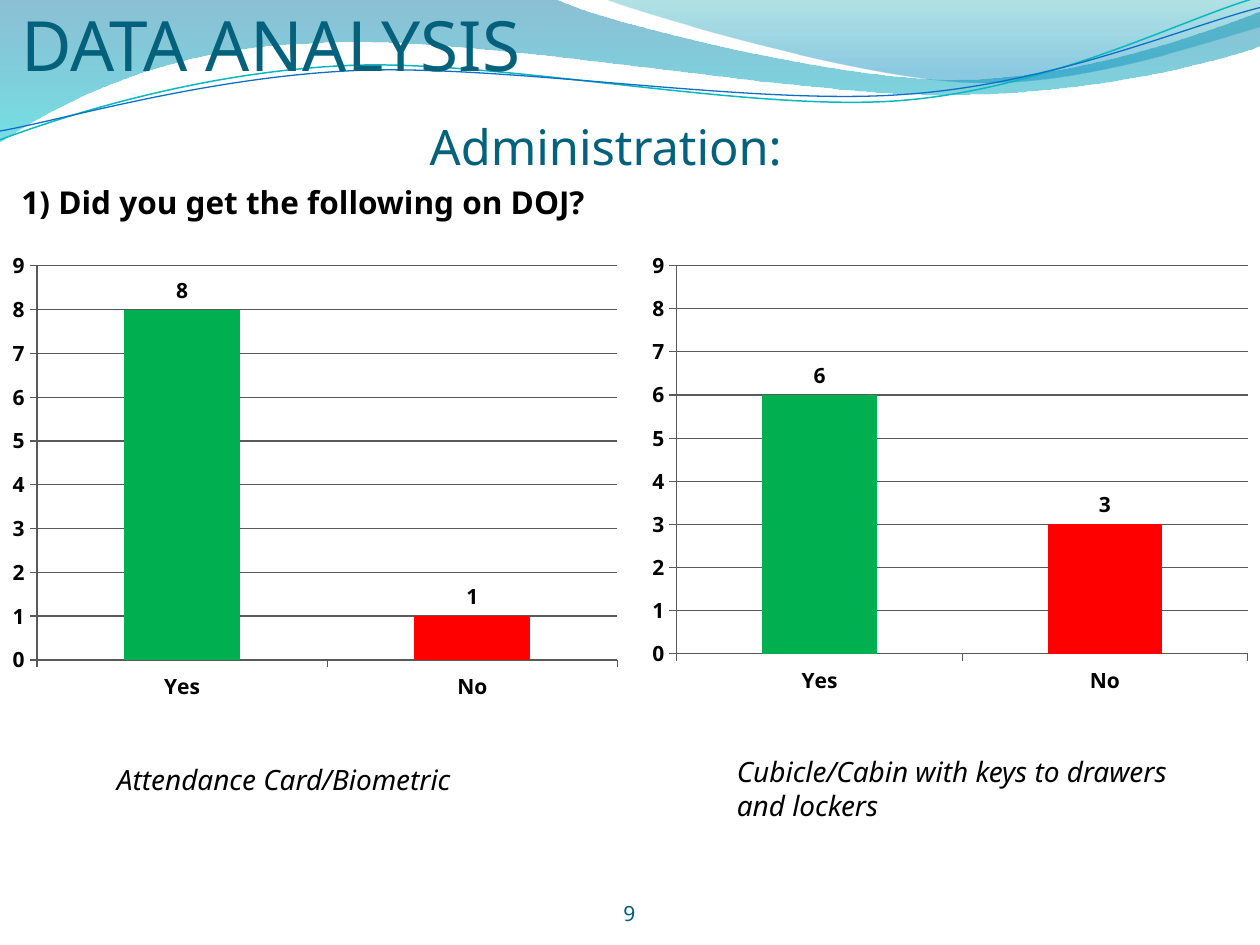
from lxml import etree
from pptx import Presentation
from pptx import util as u
from pptx.chart.data import CategoryChartData
from pptx.dml.color import RGBColor
from pptx.enum import chart as ch, text
from pptx.oxml.ns import qn

FONT = "Noto Sans"
COLORS = {
    "title": "04617B", "number": "045D75", "ink": "000000", "grid": "595959",
    "yes": "00B050", "no": "FF0000", "series": "0F6FC6",
    "band_top": "0074A1", "band_bottom": "00C6CF",
    "crest_top": "00A1A9", "crest_bottom": "008BBF",
    "teal": "0AB8BF", "blue": "0F6FC6",
}
BAND = [
    [(0, 0)],
    [(4.4, -0.01)],
    [(4.76, 0.17), (6.64, 0.63), (7.58, 0.63)],
    [(8.53, 0.63), (9.58, 0.26), (10, 0.09)],
    [(10.01, 0.36)],
    [(9.83, 0.44), (8.7, 0.76), (7.46, 0.75)],
    [(6.22, 0.75), (3.82, 0.28), (2.57, 0.34)],
    [(1.29, 0.36), (0.46, 0.83), (-0.01, 1.13)],
]
CREST = [
    [(4.79, -0.01)],
    [(5.09, 0.11), (6.82, 0.62), (7.69, 0.65)],
    [(8.56, 0.69), (9.61, 0.32), (10, 0.21)],
    [(10, 0)],
]
TEAL_WAVE = [
    [(0, 1.11)],
    [(0.48, 0.93), (1.58, 0.57), (2.77, 0.52)],
    [(3.95, 0.47), (5.93, 0.89), (7.13, 0.8)],
    [(8.33, 0.71), (9.38, 0.15), (9.98, -0.02)],
]
BLUE_WAVE = [
    [(0, 1.04)],
    [(0.47, 0.96), (1.64, 0.61), (2.83, 0.56)],
    [(4.03, 0.51), (5.97, 0.84), (7.17, 0.75)],
    [(8.36, 0.67), (9.41, 0.21), (10, 0.06)],
]


def rgb(name):
    """Return the named colour."""
    return RGBColor.from_string(COLORS[name])


def add_outline(slide, segments, close):
    """Draw a freeform whose three-point segments are Bezier curves."""
    start, *rest = [(u.Inches(x), u.Inches(y))
                    for segment in segments for x, y in segment]
    builder = slide.shapes.build_freeform(*start, scale=1.0)
    builder.add_line_segments(rest, close=close)
    outline = builder.convert_to_shape()
    outline.shadow.inherit = False
    strokes = iter(list(outline._element.spPr.iter(qn("a:lnTo"))))
    for segment in segments[1:]:
        group = [next(strokes) for _ in segment]
        if len(group) == 3:
            curve = etree.Element(qn("a:cubicBezTo"))
            group[0].addprevious(curve)
            for stroke in group:
                curve.append(stroke[0])
                stroke.getparent().remove(stroke)
    return outline


def add_band(slide, segments, stops):
    """Add a closed wave with a translucent downward gradient."""
    band = add_outline(slide, segments, True)
    band.line.fill.background()
    band.fill.gradient()
    band.fill.gradient_angle = 270
    for stop, (position, color, _) in zip(band.fill.gradient_stops, stops):
        stop.position = position
        stop.color.rgb = rgb(color)
    tints = band._element.spPr.iter(qn("a:srgbClr"))
    for tint, (_, _, opacity) in zip(tints, stops):
        etree.SubElement(tint, qn("a:alpha"), val=str(opacity * 1000))


def add_wave(slide, segments, color, width):
    """Add an open wavy line."""
    wave = add_outline(slide, segments, False)
    wave.fill.background()
    wave.line.color.rgb = rgb(color)
    wave.line.width = u.Pt(width)


def set_font(font, size, color, bold=False, italic=False):
    """Style a font."""
    font.name, font.size = FONT, u.Pt(size)
    font.bold, font.italic = bold, italic
    font.color.rgb = rgb(color)


def add_frame(slide, box, margins=None, anchor=text.MSO_ANCHOR.TOP):
    """Add a wrapping text box and return its frame."""
    frame = slide.shapes.add_textbox(*map(u.Inches, box)).text_frame
    frame.word_wrap = True
    frame.vertical_anchor = anchor
    if margins:
        (frame.margin_left, frame.margin_top,
         frame.margin_right, frame.margin_bottom) = map(u.Inches, margins)
    return frame


def add_heading(slide):
    """Add the title, section name and question."""
    frame = add_frame(slide, (0.17, 0.5, 9.08, 1.25), (0, 0.05, 0, 0),
                      text.MSO_ANCHOR.BOTTOM)
    title = frame.paragraphs[0]
    title.text = "DATA ANALYSIS"
    set_font(title.font, 39.6, "title")
    section = frame.add_paragraph()
    section.text = "Administration:"
    section.space_before = u.Pt(18)
    section._p.get_or_add_pPr().set("marL", str(u.Inches(3.24)))
    set_font(section.font, 27.9, "title")
    question = frame.add_paragraph()
    question.text = "1) Did you get the following on DOJ?"
    question.space_before = u.Pt(4)
    set_font(question.font, 18, "ink", bold=True)


def add_caption(slide, box, wording):
    """Add an italic caption below a chart."""
    caption = add_frame(slide, box).paragraphs[0]
    caption.text = wording
    set_font(caption.font, 16, "ink", italic=True)


def add_page_number(slide, number):
    """Add the centred page number."""
    frame = add_frame(slide, (4.58, 6.95, 0.83, 0.4), (0, 0, 0, 0),
                      text.MSO_ANCHOR.BOTTOM)
    page = frame.paragraphs[0]
    page.text = number
    page.alignment = text.PP_ALIGN.CENTER
    set_font(page.font, 12, "number")


def add_answers(slide, box, counts):
    """Add a column chart of Yes and No answers."""
    answers = CategoryChartData()
    answers.categories = ["Yes", "No"]
    answers.add_series("Series 1", counts)
    chart = slide.shapes.add_chart(ch.XL_CHART_TYPE.COLUMN_CLUSTERED,
                                   *map(u.Inches, box), answers).chart
    chart.has_legend = chart.has_title = False
    set_font(chart.font, 12, "ink", bold=True)
    scale = chart.value_axis
    scale.minimum_scale, scale.maximum_scale, scale.major_unit = 0, 9, 1
    scale.has_major_gridlines = True
    for axis in (scale, chart.category_axis):
        axis.major_tick_mark = ch.XL_TICK_MARK.OUTSIDE
    for rule in (scale.major_gridlines, scale, chart.category_axis):
        rule.format.line.color.rgb = rgb("grid")
        rule.format.line.width = u.Pt(0.7)
    plot = chart.plots[0]
    plot.gap_width = 150
    plot.vary_by_categories = False
    series = plot.series[0]
    series.format.fill.solid()
    series.format.fill.fore_color.rgb = rgb("series")
    for i, answer in enumerate(("yes", "no")):
        fill = series.points[i].format.fill
        fill.solid()
        fill.fore_color.rgb = rgb(answer)
    labels = series.data_labels
    labels.show_value = True
    labels.position = ch.XL_LABEL_POSITION.OUTSIDE_END
    set_font(labels.font, 12, "ink", bold=True)


def main():
    """Build and save the slide."""
    deck = Presentation()
    deck.slide_width, deck.slide_height = u.Inches(10), u.Inches(7.5)
    slide = deck.slides.add_slide(deck.slide_layouts[6])
    add_band(slide, BAND, [(0, "band_top", 45), (1, "band_bottom", 55)])
    add_band(slide, CREST, [(0, "crest_top", 30), (0.8, "crest_bottom", 45)])
    add_wave(slide, TEAL_WAVE, "teal", 0.85)
    add_wave(slide, BLUE_WAVE, "blue", 0.75)
    add_heading(slide)
    add_page_number(slide, "9")
    add_caption(slide, (0.83, 6, 3.92, 0.37), "Attendance Card/Biometric")
    add_caption(slide, (5.75, 5.94, 3.83, 0.64),
                "Cubicle/Cabin with keys to drawers and lockers")
    add_answers(slide, (0, 1.92, 5, 3.72), (8, 1))
    add_answers(slide, (5.08, 1.92, 4.92, 3.67), (6, 3))
    deck.save("out.pptx")


if __name__ == "__main__":
    main()
